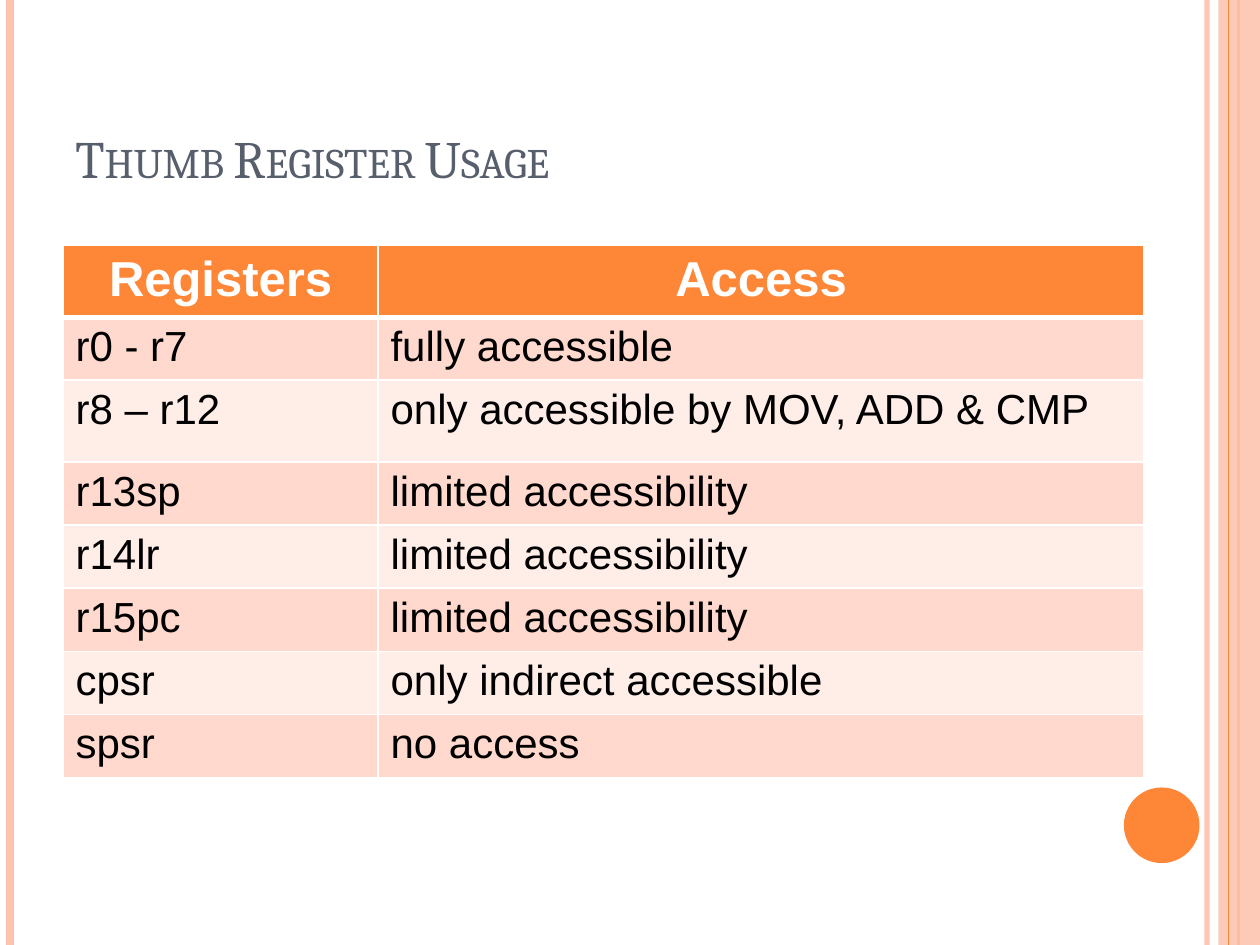
from lxml.etree import SubElement
from pptx import Presentation
from pptx.dml.color import RGBColor
from pptx.enum.shapes import MSO_CONNECTOR as CONNECTOR, MSO_SHAPE as SHAPE
from pptx.enum.text import MSO_ANCHOR as ANCHOR, PP_ALIGN as ALIGN
from pptx.oxml.ns import qn
from pptx.util import Inches, Pt

COLORS = {
    "orange": "FE8637",
    "peach": "FEC3AE",
    "slate": "575F6D",
    "white": "FFFFFF",
    "black": "000000",
    "band_dark": "FFD9CE",
    "band_light": "FFEDE8",
}
COLUMN_WIDTHS = [2.5, 6.08]
ROW_HEIGHTS = [0.55, 0.49, 0.65, 0.48, 0.48, 0.48, 0.49, 0.48]
REGISTERS = [
    ("Registers", "Access"),
    ("r0 - r7", "fully accessible"),
    ("r8 – r12", "only accessible by MOV, ADD & CMP"),
    ("r13sp", "limited accessibility"),
    ("r14lr", "limited accessibility"),
    ("r15pc", "limited accessibility"),
    ("cpsr", "only indirect accessible"),
    ("spsr", "no access"),
]


def rgb(name):
    return RGBColor.from_string(COLORS[name])


def set_alpha(element, percent):
    color = element.find(".//" + qn("a:srgbClr"))
    SubElement(color, qn("a:alpha")).set("val", str(percent * 1000))


def write_text(frame, text, size, color, font="Arial", bold=False,
               align=ALIGN.LEFT, small_caps=False):
    para = frame.paragraphs[0]
    para.alignment = align
    span = para.add_run()
    span.text = text
    span.font.size = Pt(size)
    span.font.name = font
    span.font.bold = bold
    span.font.color.rgb = rgb(color)
    if small_caps:
        span.font._element.set("cap", "small")


def add_stripe(page, x, top, height, color, width, opacity=100):
    line = page.shapes.add_connector(
        CONNECTOR.STRAIGHT, Inches(x), Inches(top), Inches(x), Inches(top + height))
    line.line.color.rgb = rgb(color)
    line.line.width = Pt(width)
    properties = line._element.spPr
    if opacity < 100:
        set_alpha(properties, opacity)
    SubElement(properties, qn("a:effectLst"))


def add_solid(page, kind, left, top, width, height, color, opacity=100):
    shape = page.shapes.add_shape(
        kind, Inches(left), Inches(top), Inches(width), Inches(height))
    shape.shadow.inherit = False
    shape.fill.solid()
    shape.fill.fore_color.rgb = rgb(color)
    shape.line.fill.background()
    if opacity < 100:
        set_alpha(shape._element.spPr, opacity)


def add_decoration(page, left, top, width, height):
    right = left + width
    add_stripe(page, right - 0.42, top, height, "peach", 3, opacity=93)
    add_stripe(page, left + 0.08, top, height, "peach", 4.5)
    # The translucent band covers one stripe and lies under the other
    add_stripe(page, right - 0.17, top, height, "orange", 1.5)
    add_solid(page, SHAPE.RECTANGLE, right - 0.33, top, 0.33, height, "peach", opacity=87)
    add_stripe(page, right - 0.25, top, height, "orange", 0.75)
    add_solid(page, SHAPE.OVAL, right - 1.08, top + height - 1.25, 0.6, 0.6, "orange")


def add_title(page, left, top, width, height):
    box = page.shapes.add_textbox(
        Inches(left), Inches(top), Inches(width), Inches(height))
    frame = box.text_frame
    frame.word_wrap = True
    frame.vertical_anchor = ANCHOR.BOTTOM
    write_text(frame, "Thumb Register Usage", 30, "slate",
               font="Cambria", small_caps=True)


def set_borders(cell, **widths):
    properties = cell._tc.get_or_add_tcPr()
    # Borders must come before the fill
    for index, side in enumerate("LRTB"):
        line = SubElement(properties, qn("a:ln" + side))
        line.set("w", str(Pt(widths.get(side, 1))))
        fill = SubElement(line, qn("a:solidFill"))
        SubElement(fill, qn("a:srgbClr")).set("val", COLORS["white"])
        properties.insert(index, line)


def add_register_table(page, left, top):
    table = page.shapes.add_table(
        len(REGISTERS), len(COLUMN_WIDTHS), Inches(left), Inches(top),
        Inches(sum(COLUMN_WIDTHS)), Inches(sum(ROW_HEIGHTS))).table
    for column, width in zip(table.columns, COLUMN_WIDTHS):
        column.width = Inches(width)
    for index, (row, height, texts) in enumerate(zip(table.rows, ROW_HEIGHTS, REGISTERS)):
        row.height = Inches(height)
        for cell, text in zip(row.cells, texts):
            cell.fill.solid()
            if index == 0:
                cell.fill.fore_color.rgb = rgb("orange")
                set_borders(cell, B=3)
                write_text(cell.text_frame, text, 28, "white", bold=True, align=ALIGN.CENTER)
            else:
                cell.fill.fore_color.rgb = rgb("band_dark" if index % 2 else "band_light")
                set_borders(cell, T=3 if index == 1 else 1)
                write_text(cell.text_frame, text, 24, "black")


def main():
    deck = Presentation()
    deck.slide_width, deck.slide_height = Inches(10), Inches(7.5)
    page = deck.slides.add_slide(deck.slide_layouts[6])
    add_decoration(page, 0, 0, 10, 7.5)
    add_title(page, 0.5, 0.3, 9, 1.25)
    add_register_table(page, 0.5, 1.95)
    deck.save("out.pptx")


if __name__ == "__main__":
    main()
